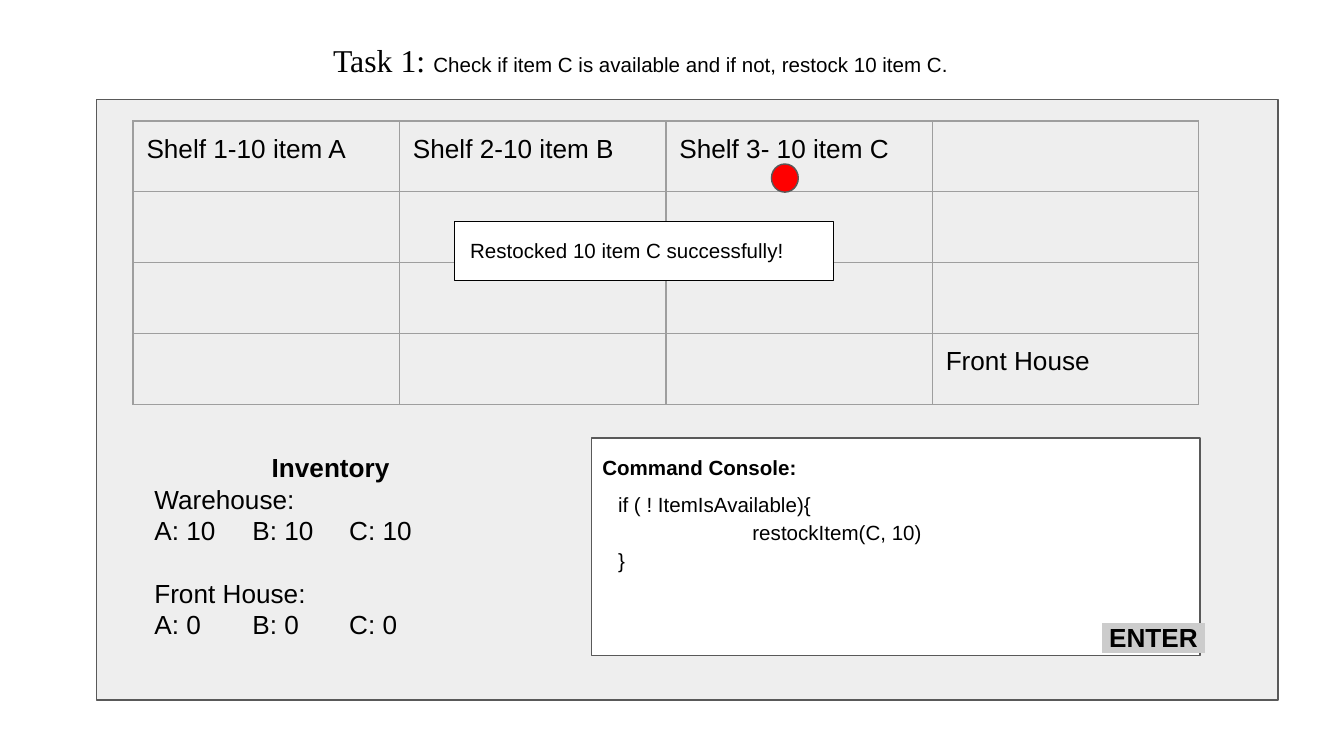
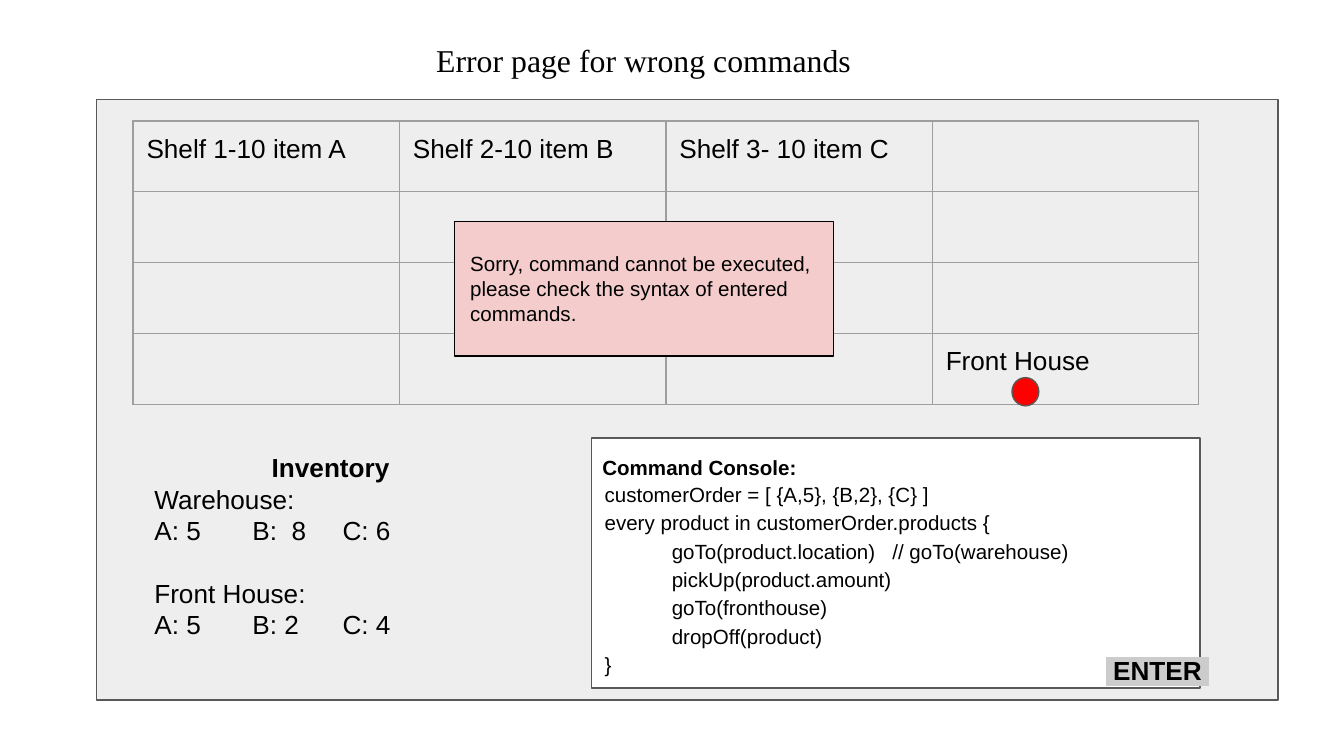
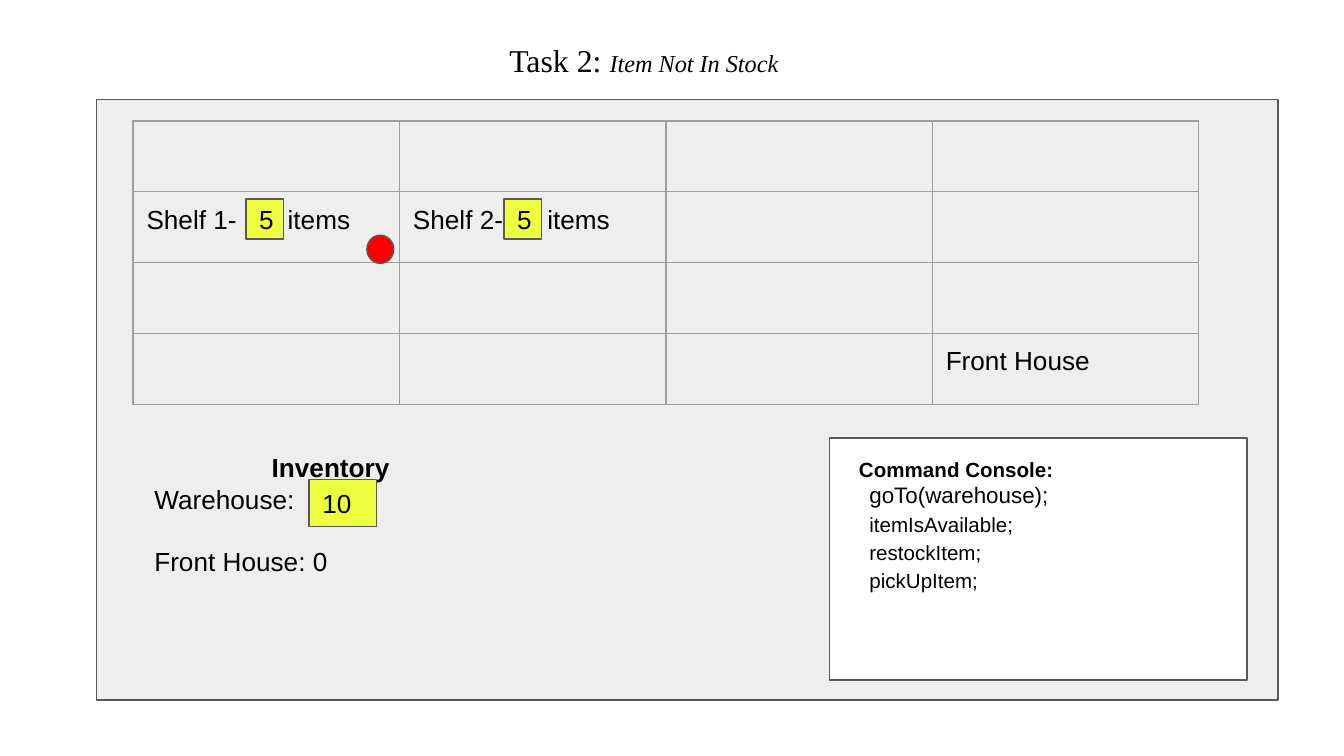
from dataclasses import dataclass

from lxml.etree import SubElement
from pptx import Presentation
from pptx.dml.color import RGBColor
from pptx.enum.shapes import MSO_SHAPE
from pptx.enum.text import MSO_ANCHOR, MSO_AUTO_SIZE, PP_ALIGN
from pptx.oxml.ns import qn
from pptx.util import Inches, Pt

BLACK, WHITE, RED = "000000", "FFFFFF", "FF0000"
PANEL, OUTLINE, GRID = "EEEEEE", "595959", "9E9E9E"
YELLOW, PINK, HIGHLIGHT = "EEFF41", "F4CCCC", "CCCCCC"
SANS, SERIF = "Arial", "Times New Roman"
MARGIN = Inches(0.1)
STOCK_SHELVES = {
    (0, 0): "Shelf 1-10 item A",
    (0, 1): "Shelf 2-10 item B",
    (0, 2): "Shelf 3- 10 item C",
}


@dataclass
class Line:
    text: str
    size: float = 14
    bold: bool = False
    align: PP_ALIGN = PP_ALIGN.LEFT
    spacing: float = 1.0
    indent: float = 0
    before: float = 0
    tabs: tuple = ()


def color(value):
    return RGBColor.from_string(value)


def code(text, indent=0):
    return Line(text, 11, spacing=1.15, indent=indent)


def style_font(font, size, name=SANS, bold=False, italic=False):
    font.size = Pt(size)
    font.name = name
    font.bold = bold
    font.italic = italic
    font.color.rgb = color(BLACK)


def set_margins(target):
    target.margin_left = target.margin_right = MARGIN
    target.margin_top = target.margin_bottom = MARGIN


def write_paragraph(paragraph, line):
    paragraph.text = line.text
    properties = paragraph._p.get_or_add_pPr()
    if line.indent:
        properties.set("marL", str(Inches(line.indent)))
        properties.set("indent", "0")
    if line.tabs:
        tab_list = SubElement(properties, qn("a:tabLst"))
        for position in line.tabs:
            SubElement(tab_list, qn("a:tab"), pos=str(Inches(position)), algn="l")
    paragraph.alignment = line.align
    paragraph.line_spacing = line.spacing
    if line.before:
        paragraph.space_before = Pt(line.before)
    style_font(paragraph.font, line.size, bold=line.bold)


def write_lines(text_frame, lines):
    set_margins(text_frame)
    text_frame.word_wrap = True
    for index, line in enumerate(lines):
        paragraph = text_frame.add_paragraph() if index else text_frame.paragraphs[0]
        write_paragraph(paragraph, line)


def add_text(slide, box, *lines):
    shape = slide.shapes.add_textbox(*map(Inches, box))
    write_lines(shape.text_frame, lines)
    return shape


def add_box(slide, box, fill, line=OUTLINE, kind=MSO_SHAPE.RECTANGLE):
    shape = slide.shapes.add_shape(kind, *map(Inches, box))
    shape.shadow.inherit = False
    shape.fill.solid()
    shape.fill.fore_color.rgb = color(fill)
    shape.line.color.rgb = color(line)
    shape.line.width = Pt(0.75)
    return shape


def add_title(slide, *runs):
    title = slide.shapes.title
    title.left, title.top, title.width, title.height = map(Inches, (2.11, 0.2, 5.36, 0.49))
    text_frame = title.text_frame
    set_margins(text_frame)
    text_frame.word_wrap = True
    text_frame.auto_size = MSO_AUTO_SIZE.NONE
    text_frame.vertical_anchor = MSO_ANCHOR.TOP
    paragraph = text_frame.paragraphs[0]
    paragraph.alignment = PP_ALIGN.CENTER
    for text, size, name, italic in runs:
        run = paragraph.add_run()
        run.text = text
        style_font(run.font, size, name, italic=italic)


def add_cell_borders(cell):
    properties = cell._tc.get_or_add_tcPr()
    for position, side in enumerate(("a:lnL", "a:lnR", "a:lnT", "a:lnB")):
        border = properties.makeelement(qn(side), {"w": str(Pt(0.75))})
        fill = SubElement(border, qn("a:solidFill"))
        SubElement(fill, qn("a:srgbClr"), val=GRID)
        properties.insert(position, border)


def add_shelf_table(slide, shelves, tabs):
    frame = slide.shapes.add_table(4, 4, *map(Inches, (0.99, 0.9, 7.93, 2.11)))
    table = frame.table
    table.first_row = table.horz_banding = False
    labels = {**shelves, (3, 3): "Front House"}
    for row_index, row in enumerate(table.rows):
        for column_index, cell in enumerate(row.cells):
            place = (row_index, column_index)
            set_margins(cell)
            cell.fill.background()
            add_cell_borders(cell)
            line = Line(labels.get(place, ""), tabs=tabs.get(place, ()))
            write_paragraph(cell.text_frame.paragraphs[0], line)


def add_warehouse_slide(presentation, title, shelves, console, heading, tabs=None):
    slide = presentation.slides.add_slide(presentation.slide_layouts[5])
    add_title(slide, *title)
    add_box(slide, (0.72, 0.74, 8.79, 4.47), PANEL)
    add_box(slide, console, WHITE)
    add_shelf_table(slide, shelves, tabs or {})
    add_text(slide, heading,
             Line("Command Console:", 11, True, PP_ALIGN.CENTER, 1.15))
    return slide


def add_inventory(slide, height, *lines):
    add_text(slide, (1.05, 3.26, 2.82, height),
             Line("Inventory", bold=True, align=PP_ALIGN.CENTER), *lines)


def add_stock(slide, warehouse, front_house, tabs):
    add_inventory(slide, 1.62,
                  Line("Warehouse:"), Line(warehouse, tabs=tabs),
                  Line("Front House:", before=16.8), Line(front_house, tabs=tabs))


def add_robot(slide, left, top):
    add_box(slide, (left, top, 0.2, 0.21), RED, kind=MSO_SHAPE.FLOWCHART_CONNECTOR)


def add_enter_button(slide, left, top):
    button = add_text(slide, (left, top, 0.98, 0.44), Line(" ENTER ", bold=True))
    run = button.text_frame.paragraphs[0].runs[0]
    highlight = SubElement(run._r.get_or_add_rPr(), qn("a:highlight"))
    SubElement(highlight, qn("a:srgbClr"), val=HIGHLIGHT)


def add_message(slide, text, height, fill, text_top, text_height):
    add_box(slide, (3.38, 1.65, 2.82, height), fill, BLACK)
    add_text(slide, (3.4, text_top, 3.2, text_height), Line(text, 11))


def add_counter(slide, box, value):
    shape = add_box(slide, box, YELLOW)
    shape.text_frame.vertical_anchor = MSO_ANCHOR.MIDDLE
    write_lines(shape.text_frame, [Line(value)])


def build_restock(presentation):
    slide = add_warehouse_slide(
        presentation,
        [("Task 1: ", 17, SERIF, False),
         ("Check if item C is available and if not, restock 10 item C. ", 11, SANS, False)],
        STOCK_SHELVES, (4.4, 3.26, 4.53, 1.62), (3.88, 3.26, 2.65, 0.86))
    add_stock(slide, "A: 10\tB: 10\tC: 10", "A: 0\tB: 0\tC: 0", (0.73, 1.45))
    add_robot(slide, 5.74, 1.22)
    add_text(slide, (4.5, 3.53, 4.32, 0.81),
             code("if ( ! ItemIsAvailable){"), code("restockItem(C, 10)", 1), code("}"))
    add_enter_button(slide, 8.1, 4.52)
    add_message(slide, "Restocked 10 item C successfully!", 0.44, WHITE, 1.68, 0.39)


def build_error(presentation):
    slide = add_warehouse_slide(
        presentation, [("Error page for wrong commands", 17, SERIF, False)],
        STOCK_SHELVES, (4.4, 3.26, 4.53, 1.86), (3.88, 3.26, 2.65, 0.86))
    add_stock(slide, "A: 5\tB:  8\tC: 6", "A: 5\tB: 2\tC: 4", (0.73, 1.4))
    add_text(slide, (4.4, 3.46, 4.32, 1.66),
             code("customerOrder = [ {A,5}, {B,2}, {C} ]"),
             code("every product in customerOrder.products {"),
             code("goTo(product.location)   // goTo(warehouse) pickUp(product.amount)", 0.5),
             code("goTo(fronthouse)", 0.5),
             code("dropOff(product)", 0.5),
             code("}"))
    add_enter_button(slide, 8.13, 4.77)
    add_robot(slide, 7.53, 2.81)
    add_message(
        slide,
        "Sorry, command cannot be executed, please check the syntax of entered commands.",
        1, PINK, 1.77, 0.76)


def build_out_of_stock(presentation):
    slide = add_warehouse_slide(
        presentation,
        [("Task 2: ", 17, SERIF, False), ("Item Not In Stock", 13, SERIF, True)],
        {(1, 0): "Shelf 1-\titems", (1, 1): "Shelf 2-\titems"},
        (6.17, 3.26, 3.11, 1.8), (5.19, 3.27, 3.85, 0.86),
        {(1, 0): (1.05,), (1, 1): (1.0,)})
    add_inventory(slide, 1.38, Line("Warehouse:"), Line("Front House: 0", before=16.8))
    add_robot(slide, 2.73, 1.75)
    add_text(slide, (6.37, 3.48, 2.71, 1.46),
             Line("goTo(warehouse);", 12),
             *map(code, ("itemIsAvailable;", "restockItem;", "pickUpItem;")))
    add_counter(slide, (2.3, 3.57, 0.5, 0.35), "10")
    for left in (1.83, 3.75):
        add_counter(slide, (left, 1.48, 0.28, 0.3), "5")


def main():
    presentation = Presentation()
    presentation.slide_width = Inches(10)
    presentation.slide_height = Inches(10) * 9 // 16
    build_restock(presentation)
    build_error(presentation)
    build_out_of_stock(presentation)
    presentation.save("out.pptx")


if __name__ == "__main__":
    main()
